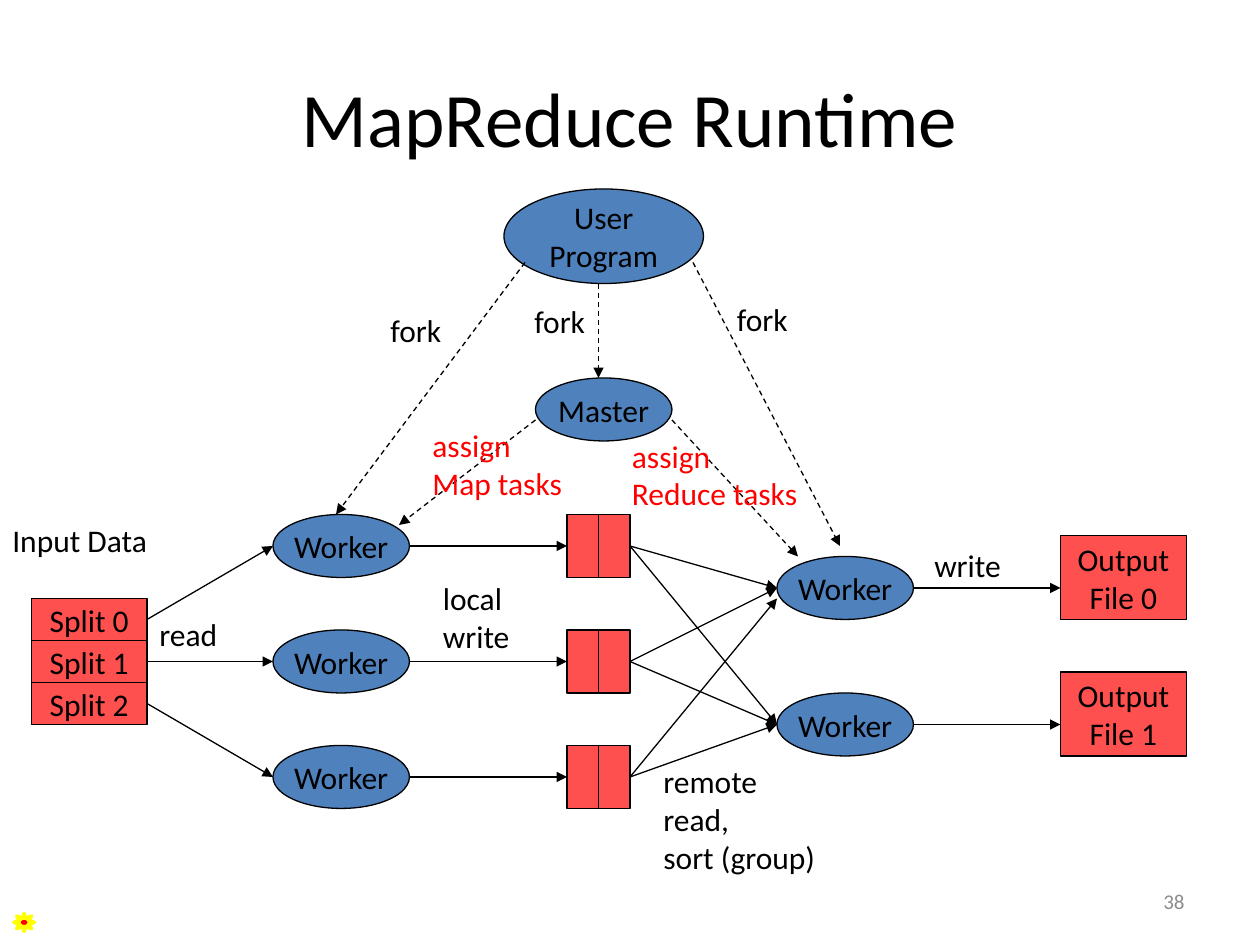
from lxml import etree
from pptx import Presentation
from pptx.dml.color import RGBColor
from pptx.enum.dml import MSO_LINE
from pptx.enum.shapes import MSO_CONNECTOR, MSO_SHAPE
from pptx.enum.text import MSO_ANCHOR, MSO_AUTO_SIZE, PP_ALIGN
from pptx.oxml.ns import qn
from pptx.util import Emu, Pt

PX = 7620
OVAL, RECT, SUN = MSO_SHAPE.OVAL, MSO_SHAPE.RECTANGLE, MSO_SHAPE.SUN
STRAIGHT, DASH = MSO_CONNECTOR.STRAIGHT, MSO_LINE.DASH
MIDDLE, TOP = MSO_ANCHOR.MIDDLE, MSO_ANCHOR.TOP
GROW, FIXED = MSO_AUTO_SIZE.SHAPE_TO_FIT_TEXT, MSO_AUTO_SIZE.NONE
LEFT, CENTER, RIGHT = PP_ALIGN.LEFT, PP_ALIGN.CENTER, PP_ALIGN.RIGHT
SITE_LEFT, SITE_RIGHT = 1, 3
BLACK, RED, GRAY, YELLOW = "000000", "FF0000", "8C8C8C", "FFFF00"
BLUE, CORAL = "4F81BD", "FF5050"


def px(*values):
    """Turn px lengths into EMU."""
    return [Emu(v * PX) for v in values]


def rgb(value):
    """Turn a hex string into a colour."""
    return RGBColor.from_string(value)


def write(sp, text, frame, size=18, color=BLACK, align=LEFT):
    """Set the text of a shape, one paragraph per line."""
    tf = sp.text_frame
    tf.text = text
    for name, value in frame.items():
        setattr(tf, name, value)
    for p in tf.paragraphs:
        p.alignment = align
        for name, value in {"name": "Calibri", "size": Pt(size)}.items():
            setattr(p.font, name, value)
        p.font.color.rgb = rgb(color)


def add_label(slide, box, text, color=BLACK):
    """Add a free label that grows with its text."""
    sp = slide.shapes.add_textbox(*px(*box))
    write(sp, text, {"word_wrap": False, "auto_size": GROW, "vertical_anchor": TOP}, color=color)


def add_node(slide, kind, box, text="", fill=BLUE, line=BLACK, width=0.75):
    """Add an outlined shape with centred text."""
    sp = slide.shapes.add_shape(kind, *px(*box))
    sp.shadow.inherit = False
    sp.fill.solid()
    sp.fill.fore_color.rgb = rgb(fill)
    sp.line.color.rgb = rgb(line)
    sp.line.width = Pt(width)
    if text:
        write(sp, text, {"word_wrap": False, "vertical_anchor": MIDDLE}, align=CENTER)
    return sp


def add_arrow(slide, start, end, source=None, target=None, dash=None):
    """Add an arrow, joined to the right of source and the left of target."""
    cxn = slide.shapes.add_connector(STRAIGHT, *px(*start, *end))
    cxn.line.color.rgb = rgb(BLACK)
    cxn.line.width = Pt(0.75)
    if dash:
        cxn.line.dash_style = dash
    if source:
        cxn.begin_connect(source, SITE_RIGHT)
    if target:
        cxn.end_connect(target, SITE_LEFT)
    ln = cxn.line._get_or_add_ln()
    etree.SubElement(ln, qn("a:tailEnd"), type="triangle")
    etree.SubElement(ln.getparent(), qn("a:effectLst"))


def add_title(slide, box, text):
    """Place and format the title placeholder."""
    title = slide.shapes.title
    title.left, title.top, title.width, title.height = px(*box)
    write(title, text, {"word_wrap": True, "vertical_anchor": MIDDLE, "auto_size": FIXED},
          size=44, align=CENTER)


def add_control(slide, x, y):
    """Draw the user program and the master with their dashed arrows."""
    add_node(slide, OVAL, (x, y, 190, 90), "User\nProgram")
    add_node(slide, OVAL, (x + 30, y + 180, 130, 60), "Master")
    arrows = [(90, 90, 90, 180), (20, 70, -160, 310), (180, 70, 320, 340),
              (30, 220, -100, 320), (160, 220, 280, 350)]
    for x1, y1, x2, y2 in arrows:
        add_arrow(slide, (x + x1, y + y1), (x + x2, y + y2), dash=DASH)
    for dx, dy in [(-120, 110), (17, 102), (210, 100)]:
        add_label(slide, (x + dx, y + dy, 83, 48), "fork")
    add_label(slide, (x - 80, y + 220, 149, 85), "assign\nMap tasks", RED)
    add_label(slide, (x + 110, y + 230, 184, 85), "assign\nReduce tasks", RED)


def add_input(slide, x, y):
    """Stack the input splits and return them."""
    add_label(slide, (x - 30, y - 80, 187, 48), "Input Data")
    return [add_node(slide, RECT, (x, y + 40 * i, 110, 40), f"Split {i}", CORAL)
            for i in range(3)]


def add_map(slide, x, y, splits):
    """Draw the map workers with their local files and return the file ends."""
    ends = []
    for i, split in enumerate(splits):
        top = y + 110 * i
        mid = top + 30
        add_node(slide, OVAL, (x, top, 130, 60), "Worker")
        first, last = [add_node(slide, RECT, (x + 280 + 30 * j, top, 30, 60), fill=CORAL)
                       for j in range(2)]
        add_arrow(slide, (x - 120, mid), (x, mid), source=split)
        add_arrow(slide, (x + 130, mid), (x + 280, mid), target=first)
        ends.append((last, (x + 340, mid)))
    add_label(slide, (x - 120, y + 90, 91, 48), "read")
    add_label(slide, (x + 150, y + 56, 100, 84), "local\nwrite")
    return ends


def add_reduce(slide, x, y, ends):
    """Draw the reduce workers, their output files and the shuffle arrows."""
    for i in range(2):
        top = y + 130 * i
        mid = top + 30
        add_node(slide, OVAL, (x, top, 130, 60), "Worker")
        output = add_node(slide, RECT, (x + 270, top - 20, 120, 80), f"Output\nFile {i}", CORAL)
        output.top = px(mid - 50 if i == 0 else mid - 50)[0]
        add_arrow(slide, (x + 130, mid), (x + 270, mid))
        for j, (last, point) in enumerate(ends):
            drop = 10 if (i, j) == (0, 2) else 0
            add_arrow(slide, point, (x, mid + drop), source=last)
    add_label(slide, (x - 120, y + 190, 170, 121), "remote\nread,\nsort (group)")
    add_label(slide, (x + 138, y - 16, 100, 48), "write")


def add_footer(slide, x, y):
    """Add the page number and the corner ornament."""
    sp = slide.shapes.add_textbox(*px(x + 847, y, 280, 48))
    write(sp, "38", {"word_wrap": True, "vertical_anchor": MIDDLE}, 12, GRAY, RIGHT)
    add_node(slide, SUN, (x, y + 36, 20, 17), fill=RED, line=YELLOW, width=2)


def main():
    """Build the slide."""
    prs = Presentation()
    prs.slide_width, prs.slide_height = px(1200, 900)
    slide = prs.slides.add_slide(prs.slide_layouts[5])
    add_title(slide, (60, 36, 1080, 150), "MapReduce Runtime")
    add_control(slide, 480, 180)
    splits = add_input(slide, 30, 570)
    ends = add_map(slide, 260, 490, splits)
    add_reduce(slide, 740, 530, ends)
    add_footer(slide, 13, 834)
    prs.save("out.pptx")


if __name__ == "__main__":
    main()
